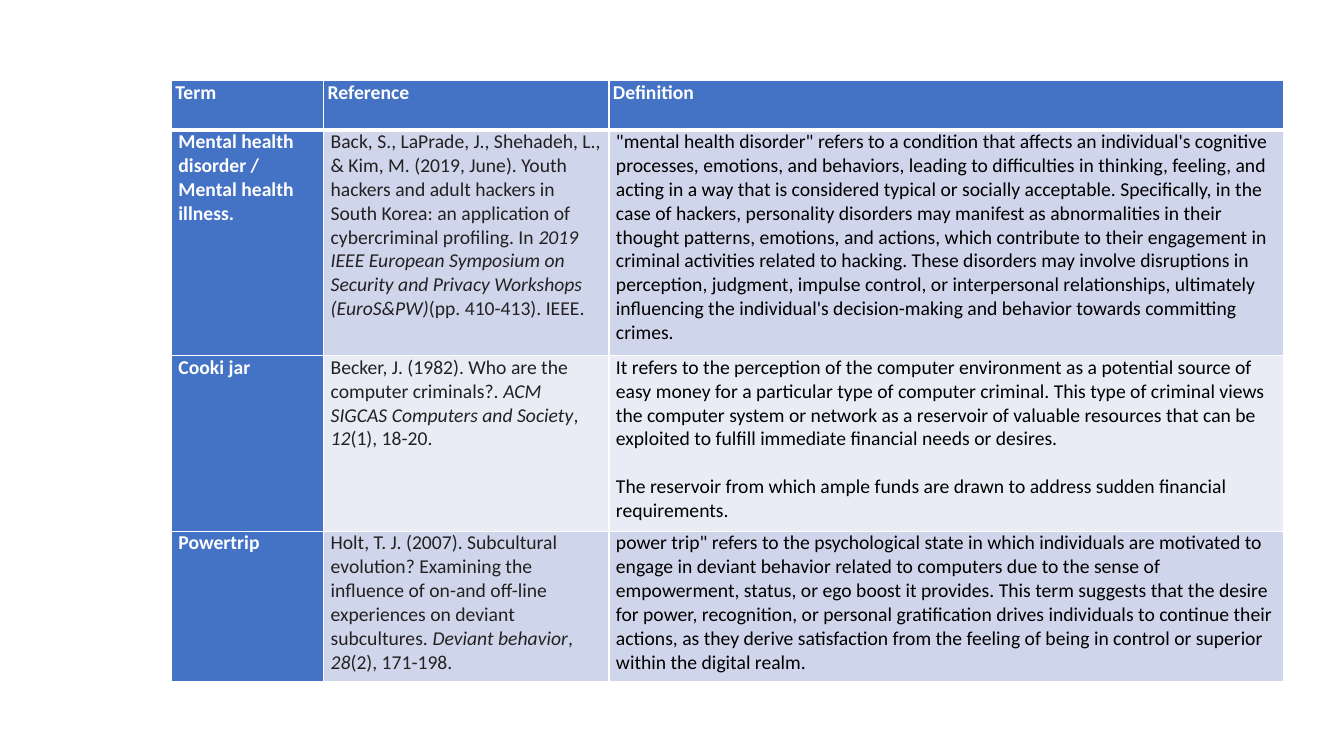
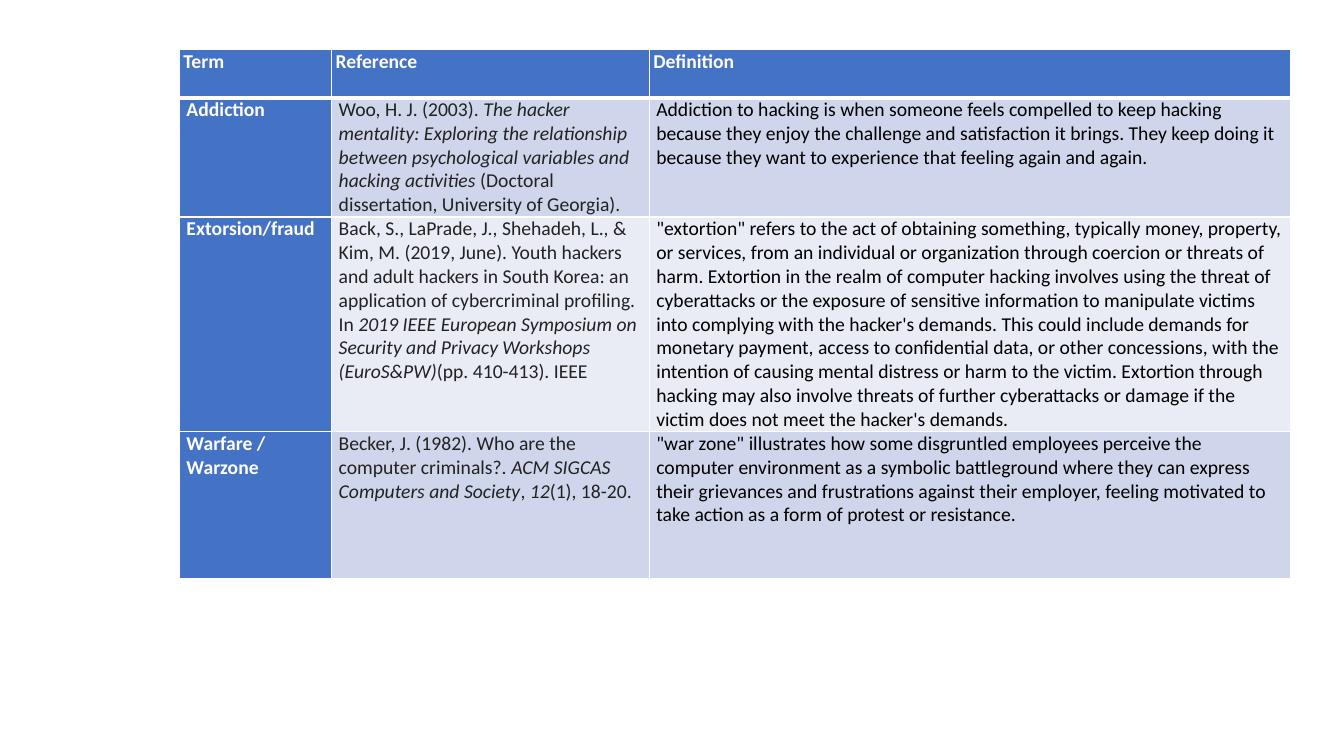
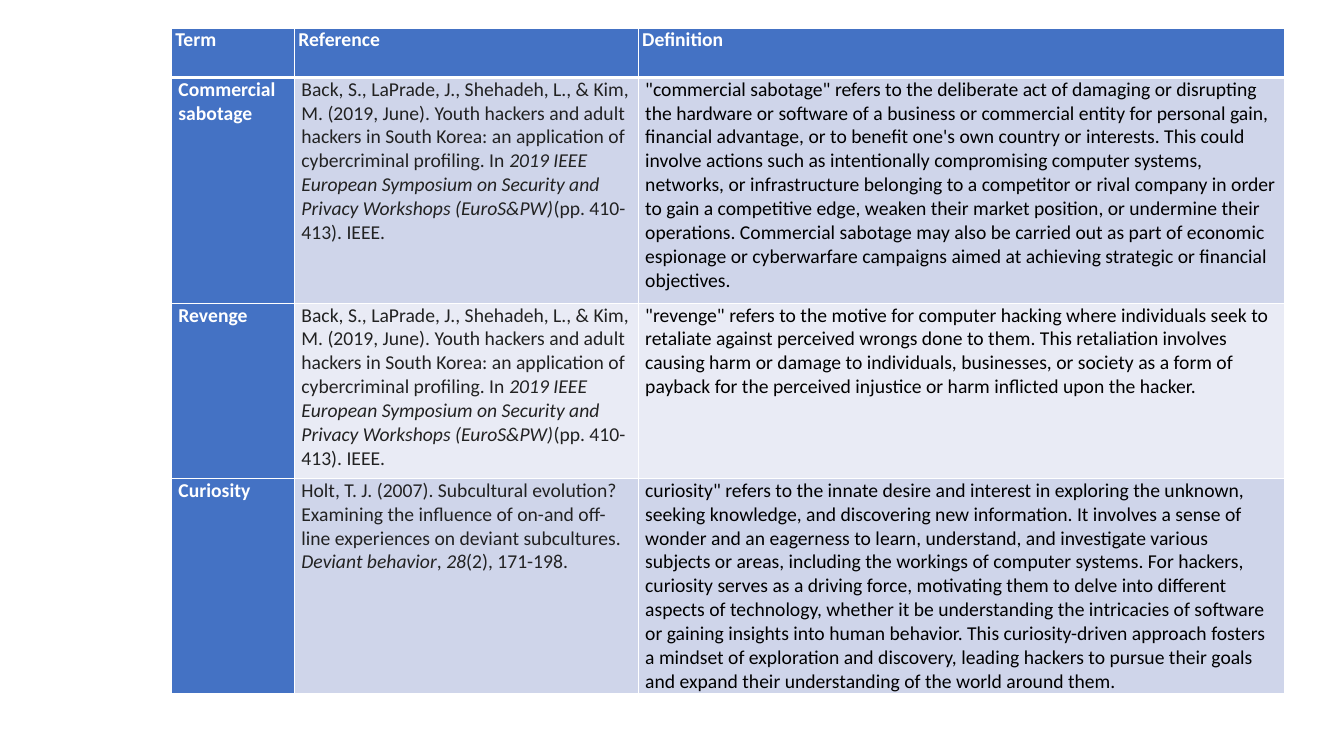
"""Build three slides of hacker motive terms, each a table of references and definitions."""
import dataclasses

import lxml.etree
import pptx
import pptx.dml.color
import pptx.oxml.ns
import pptx.util

Inches = pptx.util.Inches


@dataclasses.dataclass(frozen=True)
class Theme:
    """Colours, type and line sizes shared by the slides."""
    font: str = "Calibri"
    size: int = 14
    white: str = "FFFFFF"
    black: str = "000000"
    grey: str = "222222"
    blue: str = "4472C4"
    bands: tuple = ("CFD5EA", "E9EBF5")
    thin: int = 1
    thick: int = 3
    gap: int = 17
    head_pad: float = 0.04
    body_pad: float = 0.07


THEME = Theme()
HEADS = ("Term", "Reference", "Definition")

BACK = (
    "Back, S., LaPrade, J., Shehadeh, L., & Kim, M. (2019, June). Youth hackers and adult "
    "hackers in South Korea: an application of cybercriminal profiling. In *2019 IEEE European "
    "Symposium on Security and Privacy Workshops (EuroS&PW)*(pp. 410-413). IEEE"
)
BECKER = (
    "Becker, J. (1982). Who are the computer criminals?. "
    "*ACM SIGCAS Computers and Society*, *12*(1), 18-20."
)
HOLT = (
    "Holt, T. J. (2007). Subcultural evolution? Examining the influence of on-and off-line "
    "experiences on deviant subcultures. *Deviant behavior*, *28*(2), 171-198."
)
WOO = (
    "Woo, H. J. (2003). *The hacker mentality: Exploring the relationship between psychological "
    "variables and hacking activities* (Doctoral dissertation, University of Georgia)."
)

SLIDES = (
    dict(
        left=1.7, top=0.8, cols=(1.51, 2.83, 6.69), rows=(0.49, 2.24, 1.74, 1.49),
        terms=(
            ("Mental health disorder / Mental health illness.", BACK + ".",
             "\"mental health disorder\" refers to a condition that affects an individual's "
             "cognitive processes, emotions, and behaviors, leading to difficulties in thinking, "
             "feeling, and acting in a way that is considered typical or socially acceptable. "
             "Specifically, in the case of hackers, personality disorders may manifest as "
             "abnormalities in their thought patterns, emotions, and actions, which contribute "
             "to their engagement in criminal activities related to hacking. These disorders may "
             "involve disruptions in perception, judgment, impulse control, or interpersonal "
             "relationships, ultimately influencing the individual's decision-making and "
             "behavior towards committing crimes."),
            ("Cooki jar", BECKER,
             "It refers to the perception of the computer environment as a potential source of "
             "easy money for a particular type of computer criminal. This type of criminal views "
             "the computer system or network as a reservoir of valuable resources that can be "
             "exploited to fulfill immediate financial needs or desires.\n"
             "The reservoir from which ample funds are drawn to address sudden financial "
             "requirements."),
            ("Powertrip", HOLT,
             "power trip\" refers to the psychological state in which individuals are motivated "
             "to engage in deviant behavior related to computers due to the sense of "
             "empowerment, status, or ego boost it provides. This term suggests that the desire "
             "for power, recognition, or personal gratification drives individuals to continue "
             "their actions, as they derive satisfaction from the feeling of being in control or "
             "superior within the digital realm."),
        ),
    ),
    dict(
        left=1.78, top=0.49, cols=(1.51, 3.15, 6.36), rows=(0.48, 1.14, 2.05, 1.46),
        terms=(
            ("Addiction", WOO,
             "Addiction to hacking is when someone feels compelled to keep hacking because they "
             "enjoy the challenge and satisfaction it brings. They keep doing it because they "
             "want to experience that feeling again and again."),
            ("Extorsion/fraud", BACK,
             "\"extortion\" refers to the act of obtaining something, typically money, property, "
             "or services, from an individual or organization through coercion or threats of "
             "harm. Extortion in the realm of computer hacking involves using the threat of "
             "cyberattacks or the exposure of sensitive information to manipulate victims into "
             "complying with the hacker's demands. This could include demands for monetary "
             "payment, access to confidential data, or other concessions, with the intention of "
             "causing mental distress or harm to the victim. Extortion through hacking may also "
             "involve threats of further cyberattacks or damage if the victim does not meet the "
             "hacker's demands."),
            ("Warfare / Warzone", BECKER,
             "\"war zone\" illustrates how some disgruntled employees perceive the computer "
             "environment as a symbolic battleground where they can express their grievances and "
             "frustrations against their employer, feeling motivated to take action as a form of "
             "protest or resistance."),
        ),
    ),
    dict(
        left=1.7, top=0.28, cols=(1.22, 3.41, 6.41), rows=(0.49, 2.24, 1.74, 2.1),
        terms=(
            ("Commercial sabotage", BACK + ".",
             "\"commercial sabotage\" refers to the deliberate act of damaging or disrupting the "
             "hardware or software of a business or commercial entity for personal gain, "
             "financial advantage, or to benefit one's own country or interests. This could "
             "involve actions such as intentionally compromising computer systems, networks, or "
             "infrastructure belonging to a competitor or rival company in order to gain a "
             "competitive edge, weaken their market position, or undermine their operations. "
             "Commercial sabotage may also be carried out as part of economic espionage or "
             "cyberwarfare campaigns aimed at achieving strategic or financial objectives."),
            ("Revenge", BACK + ".",
             "\"revenge\" refers to the motive for computer hacking where individuals seek to "
             "retaliate against perceived wrongs done to them. This retaliation involves causing "
             "harm or damage to individuals, businesses, or society as a form of payback for the "
             "perceived injustice or harm inflicted upon the hacker."),
            ("Curiosity", HOLT,
             "curiosity\" refers to the innate desire and interest in exploring the unknown, "
             "seeking knowledge, and discovering new information. It involves a sense of wonder "
             "and an eagerness to learn, understand, and investigate various subjects or areas, "
             "including the workings of computer systems. For hackers, curiosity serves as a "
             "driving force, motivating them to delve into different aspects of technology, "
             "whether it be understanding the intricacies of software or gaining insights into "
             "human behavior. This curiosity-driven approach fosters a mindset of exploration "
             "and discovery, leading hackers to pursue their goals and expand their "
             "understanding of the world around them."),
        ),
    ),
)


def rgb(code):
    """Turn a hex code into a colour."""
    return pptx.dml.color.RGBColor.from_string(code)


def add_lines(cell, top, base):
    """Draw white borders on a cell, with given top and bottom widths."""
    qn = pptx.oxml.ns.qn
    props = cell._tc.get_or_add_tcPr()
    sides = (("L", THEME.thin), ("R", THEME.thin), ("T", top), ("B", base))
    for side, width in sides:
        line = lxml.etree.SubElement(props, qn(f"a:ln{side}"), w=str(pptx.util.Pt(width)))
        fill = lxml.etree.SubElement(line, qn("a:solidFill"))
        lxml.etree.SubElement(fill, qn("a:srgbClr"), val=THEME.white)


def write(cell, text, color, bold):
    """Write paragraphs, with starred parts in italics."""
    cell.text_frame.text = text
    for spot, para in enumerate(cell.text_frame.paragraphs):
        parts = para.text.split("*")
        para.text = parts[0]
        for part in parts[1:]:
            para.add_run().text = part
        if spot:
            para.space_before = pptx.util.Pt(THEME.gap)
        for place, run in enumerate(para.runs):
            run.font.name = THEME.font
            run.font.size = pptx.util.Pt(THEME.size)
            run.font.bold = bold
            run.font.italic = place % 2 == 1
            run.font.color.rgb = rgb(color)


def fill_cell(cell, text, row, col):
    """Style and fill one cell by its place in the table."""
    head = row == 0
    label = head or col == 0
    pad = Inches(THEME.head_pad if head else THEME.body_pad)
    cell.margin_left = cell.margin_right = pad
    cell.margin_top = cell.margin_bottom = 0
    add_lines(cell, THEME.thick if row == 1 else THEME.thin,
              THEME.thick if head else THEME.thin)
    cell.fill.solid()
    cell.fill.fore_color.rgb = rgb(THEME.blue if label else THEME.bands[(row - 1) % 2])
    color = THEME.white if label else (THEME.grey if col == 1 else THEME.black)
    write(cell, text, color, label)


def add_terms(slide, left, top, cols, rows, terms):
    """Add a table of terms to a slide."""
    frame = slide.shapes.add_table(
        len(rows), len(cols), Inches(left), Inches(top), Inches(sum(cols)), Inches(sum(rows)))
    table = frame.table
    for col, width in zip(table.columns, cols):
        col.width = Inches(width)
    for row, height in zip(table.rows, rows):
        row.height = Inches(height)
    for row, texts in enumerate((HEADS,) + terms):
        for col, text in enumerate(texts):
            fill_cell(table.cell(row, col), text, row, col)


def main():
    """Build and save the deck."""
    deck = pptx.Presentation()
    deck.slide_width, deck.slide_height = Inches(13.33), Inches(7.5)
    for page in SLIDES:
        add_terms(deck.slides.add_slide(deck.slide_layouts[6]), **page)
    deck.save("out.pptx")


if __name__ == "__main__":
    main()
